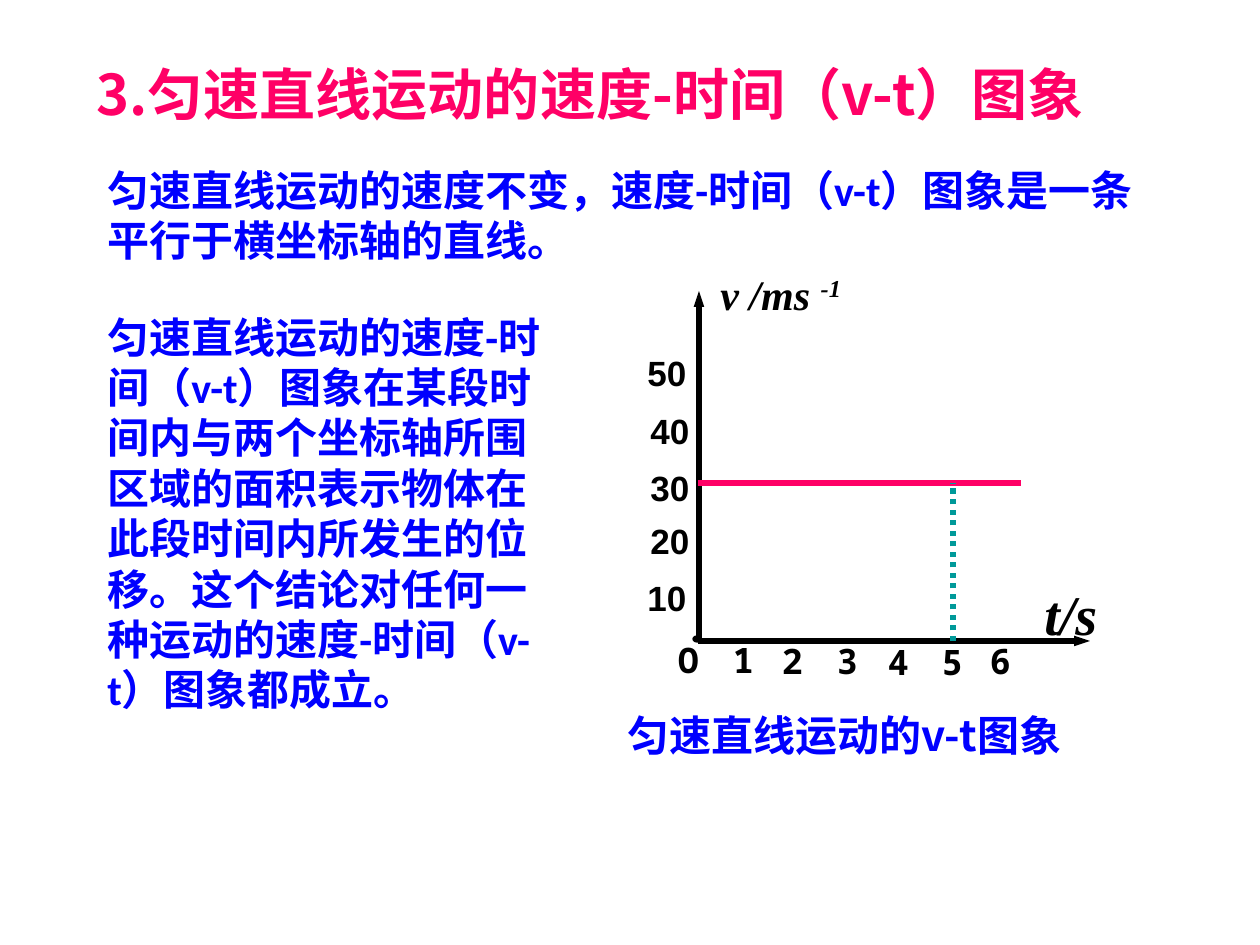
from lxml.etree import SubElement
from pptx import Presentation
from pptx.dml.color import RGBColor
from pptx.enum.dml import MSO_LINE
from pptx.enum.shapes import MSO_CONNECTOR, MSO_SHAPE
from pptx.enum.text import MSO_ANCHOR, MSO_AUTO_SIZE, PP_ALIGN
from pptx.oxml.ns import qn
from pptx.util import Inches, Pt

PX = Inches(1) / 126
BLACK, BLUE, PINK, TEAL = "000000", "0000FF", "FF0066", "009999"
CJK = "Noto Sans CJK SC"

TITLE = "3.匀速直线运动的速度-时间（v-t）图象"
RULE = "匀速直线运动的速度不变，速度-时间（v-t）图象是一条平行于横坐标轴的直线。"
AREA = ("匀速直线运动的速度-时间（v-t）图象在某段时间内与两个坐标轴所围区域的面积"
        "表示物体在此段时间内所发生的位移。这个结论对任何一种运动的速度-时间（v-t）"
        "图象都成立。")
CAPTION = "匀速直线运动的v-t图象"

# Axis labels: text, left, top
TIME_LABELS = [("O", 678, 639), ("1", 733, 639), ("2", 782, 640), ("3", 837, 640),
               ("4", 888, 641), ("5", 942, 641), ("6", 990, 640)]
SPEED_LABELS = [("10", 635, 570), ("20", 638, 513), ("30", 638, 460),
                ("40", 638, 403), ("50", 635, 345)]


def px(n):
    return round(n * PX)


def color(value):
    return RGBColor.from_string(value)


def format_run(r, font, size, ink, italic=False):
    values = {"name": font, "size": Pt(size), "bold": True, "italic": italic}
    for name, value in values.items():
        setattr(r.font, name, value)
    r.font.color.rgb = color(ink)
    SubElement(r._r.get_or_add_rPr(), qn("a:ea")).set("typeface", font)


def fill_text(sp, text, font, size, ink, italic=False, inset=True,
              anchor=MSO_ANCHOR.TOP, spacing=None):
    tf = sp.text_frame
    values = {"word_wrap": True, "auto_size": MSO_AUTO_SIZE.NONE,
              "vertical_anchor": anchor}
    if not inset:
        values.update(dict.fromkeys(
            ("margin_left", "margin_top", "margin_right", "margin_bottom"), 0))
    for name, value in values.items():
        setattr(tf, name, value)
    p = tf.paragraphs[0]
    p.alignment = PP_ALIGN.LEFT
    if spacing:
        p.line_spacing = Pt(spacing)
    r = p.add_run()
    r.text = text
    format_run(r, font, size, ink, italic)
    return p


def add_title(s, box, text):
    sp = s.shapes.title
    for name, value in zip(("left", "top", "width", "height"), box):
        setattr(sp, name, px(value))
    fill_text(sp, text, CJK, 32, PINK, anchor=MSO_ANCHOR.MIDDLE)


def add_text(s, box, text, *args, **kwargs):
    sp = s.shapes.add_textbox(*map(px, box))
    return fill_text(sp, text, *args, **kwargs)


def add_line(s, ends, ink, arrow=False, dash=None):
    line = s.shapes.add_connector(MSO_CONNECTOR.STRAIGHT, *map(px, ends))
    line.line.width = Pt(3)
    line.line.color.rgb = color(ink)
    if dash:
        line.line.dash_style = dash
    if arrow:
        tail = SubElement(line.line._get_or_add_ln(), qn("a:tailEnd"))
        for name, value in {"type": "triangle", "w": "sm", "len": "med"}.items():
            tail.set(name, value)
    SubElement(line._element.spPr, qn("a:effectLst"))


def add_origin_dot(s, box):
    sp = s.shapes.add_shape(MSO_SHAPE.OVAL, *map(px, box))
    sp.shadow.inherit = False
    sp.fill.solid()
    sp.fill.fore_color.rgb = color(BLACK)
    sp.line.color.rgb = color(BLACK)
    sp.line.width = Pt(0.75)


def add_graph(s):
    # Axes, speed line and time marker
    add_origin_dot(s, (693, 636, 8, 6))
    add_line(s, (699, 640, 699, 291), BLACK, arrow=True)
    add_line(s, (698, 641, 1090, 641), BLACK, arrow=True)
    add_line(s, (698, 483, 1021, 483), PINK)
    add_line(s, (953, 641, 953, 483), TEAL, dash=MSO_LINE.ROUND_DOT)

    # Axis names
    p = add_text(s, (708, 262, 158, 106), "v /ms ", "Times New Roman", 24, BLACK,
                 italic=True)
    power = p.add_run()
    power.text = "-1"
    format_run(power, "Times New Roman", 24, BLACK, italic=True)
    power._r.get_or_add_rPr().set("baseline", "30000")
    add_text(s, (1032, 573, 144, 108), "t/s", "Times New Roman", 32, BLACK, italic=True)

    # Axis values
    for text, left, top in TIME_LABELS:
        add_text(s, (left, top, 38, 52), text, "Noto Sans Mono", 20, BLACK, inset=False)
    for text, left, top in SPEED_LABELS:
        add_text(s, (left, top, 94, 55), text, "Arial", 20, BLACK)

    add_text(s, (615, 703, 525, 63), CAPTION, CJK, 24, BLUE, anchor=MSO_ANCHOR.MIDDLE)


def main():
    prs = Presentation()
    prs.slide_width, prs.slide_height = Inches(10), Inches(7.5)
    s = prs.slides.add_slide(prs.slide_layouts[5])

    # Title and explanation
    add_title(s, (84, 53, 1113, 81), TITLE)
    add_text(s, (95, 158, 1071, 113), RULE, "Calibri", 24, BLUE, spacing=28.8)
    add_text(s, (95, 305, 462, 416), AREA, "Calibri", 24, BLUE, spacing=28.8)

    # Speed-time graph
    add_graph(s)
    prs.save("out.pptx")


if __name__ == "__main__":
    main()
